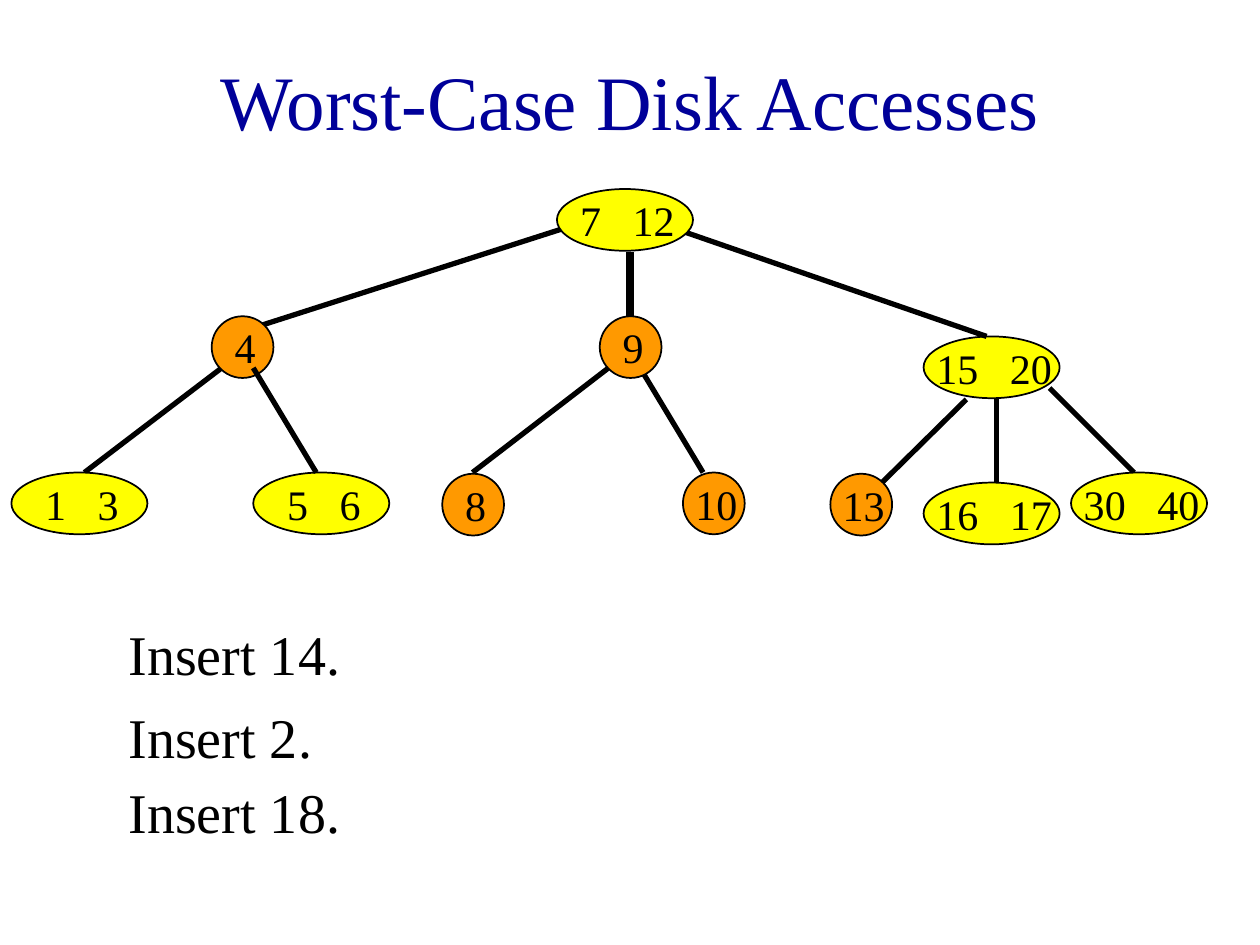
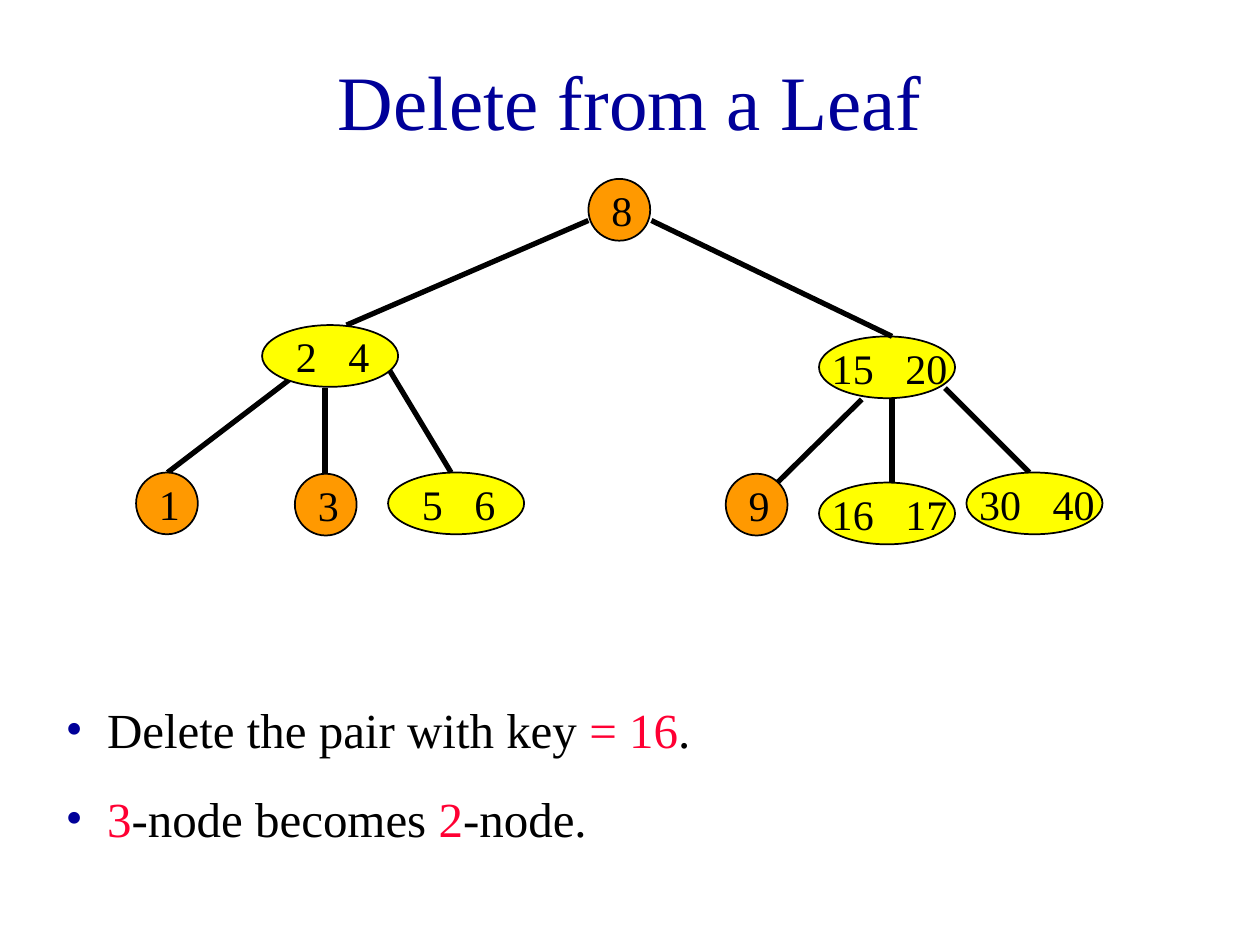
from dataclasses import dataclass

from lxml import etree
from pptx import Presentation
from pptx.dml.color import RGBColor
from pptx.enum.shapes import MSO_CONNECTOR, MSO_SHAPE
from pptx.enum.text import MSO_ANCHOR, MSO_AUTO_SIZE, PP_ALIGN
from pptx.oxml.ns import qn
from pptx.util import Inches, Pt

ELLIPSE = MSO_SHAPE.OVAL
STRAIGHT = MSO_CONNECTOR.STRAIGHT
CENTER = PP_ALIGN.CENTER
TOP, MIDDLE = MSO_ANCHOR.TOP, MSO_ANCHOR.MIDDLE
NO_AUTOFIT = MSO_AUTO_SIZE.NONE
TITLE_AND_CONTENT = 1


@dataclass(frozen=True)
class Theme:
    """Colours, type sizes and line widths shared by the slides."""

    font: str = "Times New Roman"
    title: RGBColor = RGBColor(0x00, 0x00, 0x99)
    ink: RGBColor = RGBColor(0x00, 0x00, 0x00)
    accent: RGBColor = RGBColor(0xFF, 0x00, 0x33)
    two_node: RGBColor = RGBColor(0xFF, 0x99, 0x00)
    three_node: RGBColor = RGBColor(0xFF, 0xFF, 0x00)
    title_size: float = 44
    insert_size: float = 32
    bullet_size: float = 28
    key_size: float = 24
    outline: float = 1
    edge: float = 3


@dataclass(frozen=True)
class Node:
    """A tree node: its offset in the tree's box and one or two keys."""

    left: float
    top: float
    keys: tuple


@dataclass(frozen=True)
class Edge:
    """A link between two points in the tree's box."""

    start: tuple
    end: tuple
    width: float = 3
    in_front: bool = False


THEME = Theme()
NODE_HEIGHT = 0.49
NODE_WIDTHS = {1: 0.49, 2: 1.08}
KEY_GAP = 12
TITLE_BOX = (0.75, 0.17, 8.5, 1.25)

INSERT_NODES = [
    Node(4.34, 0, ("7", "12")),
    Node(1.6, 1.01, ("4",)),
    Node(4.68, 1.01, ("9",)),
    Node(0.01, 2.25, ("1", "3")),
    Node(1.93, 2.25, ("5", "6")),
    Node(3.43, 2.26, ("8",)),
    Node(5.34, 2.25, ("10",)),
]
INSERT_EDGES = [
    Edge((4.59, 0.25), (2, 1.08)),
    Edge((4.92, 0.5), (4.92, 1.08), width=4.5),
    Edge((5.09, 0.25), (7.75, 1.17)),
    Edge((1.68, 1.42), (0.59, 2.25)),
    Edge((1.93, 1.42), (2.43, 2.25), in_front=True),
    Edge((4.75, 1.42), (3.67, 2.25)),
    Edge((5, 1.42), (5.5, 2.25)),
]
DELETE_NODES = [
    Node(3.59, 0, ("8",)),
    Node(1, 1.16, ("2", "4")),
    Node(0, 2.33, ("1",)),
    Node(1.26, 2.34, ("3",)),
    Node(2, 2.33, ("5", "6")),
]
DELETE_EDGES = [
    Edge((3.59, 0.33), (1.67, 1.16)),
    Edge((4.09, 0.33), (6, 1.25)),
    Edge((1.34, 1.5), (0.25, 2.33)),
    Edge((1.5, 1.66), (1.5, 2.33)),
    Edge((2, 1.5), (2.5, 2.33)),
]


def place(shape, box):
    """Move and size a shape to a box in inches."""
    shape.left, shape.top, shape.width, shape.height = map(Inches, box)


def add_run(paragraph, text, size, color=THEME.ink):
    """Add one formatted run."""
    run = paragraph.add_run()
    run.text = text
    run.font.name = THEME.font
    run.font.size = Pt(size)
    run.font.color.rgb = color
    return run


def add_slide(presentation, title):
    """Add a slide with its title set."""
    slide = presentation.slides.add_slide(presentation.slide_layouts[TITLE_AND_CONTENT])
    shape = slide.shapes.title
    place(shape, TITLE_BOX)
    shape.text_frame.auto_size = NO_AUTOFIT
    shape.text_frame.vertical_anchor = MIDDLE
    paragraph = shape.text_frame.paragraphs[0]
    paragraph.alignment = CENTER
    add_run(paragraph, title, THEME.title_size, THEME.title)
    return slide


def add_node(shapes, left, top, keys):
    """Draw one node with its keys centred."""
    box = (left, top, NODE_WIDTHS[len(keys)], NODE_HEIGHT)
    shape = shapes.add_shape(ELLIPSE, *map(Inches, box))
    shape.shadow.inherit = False
    shape.fill.solid()
    shape.fill.fore_color.rgb = THEME.two_node if len(keys) == 1 else THEME.three_node
    shape.line.color.rgb = THEME.ink
    shape.line.width = Pt(THEME.outline)
    frame = shape.text_frame
    frame.word_wrap = False
    frame.vertical_anchor = MIDDLE
    frame.margin_left = Inches(0.04)
    frame.margin_right = frame.margin_top = frame.margin_bottom = 0
    paragraph = frame.paragraphs[0]
    paragraph.alignment = CENTER
    for index, key in enumerate(keys):
        if index:
            gap = add_run(paragraph, " ", THEME.key_size)
            gap.font._element.set("spc", str(KEY_GAP * 100))
        add_run(paragraph, key, THEME.key_size)


def add_edge(shapes, left, top, edge):
    """Draw one link of a tree whose box starts at left, top."""
    (start_x, start_y), (end_x, end_y) = edge.start, edge.end
    points = (left + start_x, top + start_y, left + end_x, top + end_y)
    connector = shapes.add_connector(STRAIGHT, *map(Inches, points))
    connector.line.color.rgb = THEME.ink
    connector.line.width = Pt(edge.width)
    etree.SubElement(connector._element.spPr, qn("a:effectLst"))


def add_tree(slide, left, top, nodes, edges):
    """Group the nodes and links of a tree in a box at left, top."""
    shapes = slide.shapes.add_group_shape().shapes
    for edge in edges:
        if not edge.in_front:
            add_edge(shapes, left, top, edge)
    for node in nodes:
        add_node(shapes, left + node.left, top + node.top, node.keys)
    for edge in edges:
        if edge.in_front:
            add_edge(shapes, left, top, edge)


def add_right_subtree(slide, left, top, first_leaf):
    """Draw the subtree under 15 and 20, which both slides share."""
    nodes = [
        Node(0, 0, ("15", "20")),
        Node(-0.74, 1.09, (first_leaf,)),
        Node(0, 1.16, ("16", "17")),
        Node(1.17, 1.08, ("30", "40")),
    ]
    edges = [
        Edge((0.34, 0.5), (-0.33, 1.16)),
        Edge((0.58, 0.5), (0.58, 1.16)),
        Edge((1, 0.41), (1.67, 1.08)),
    ]
    add_tree(slide, left, top, nodes, edges)


def set_bullet(paragraph, indent, bullet=None):
    """Give a paragraph a hanging bullet, or none."""
    properties = paragraph._p.get_or_add_pPr()
    properties.set("marL", str(Inches(indent)))
    properties.set("indent", str(-Inches(indent)))
    if bullet is None:
        etree.SubElement(properties, qn("a:buNone"))
        return
    color = etree.SubElement(properties, qn("a:buClr"))
    etree.SubElement(color, qn("a:srgbClr")).set("val", str(THEME.title))
    etree.SubElement(properties, qn("a:buFont")).set("typeface", THEME.font)
    etree.SubElement(properties, qn("a:buChar")).set("char", bullet)


def add_list(slide, box, lines, size, spacing, indent=0, bullet=None):
    """Fill the body placeholder with lines of (text, color) runs."""
    body = slide.placeholders[1]
    place(body, box)
    frame = body.text_frame
    frame.auto_size = NO_AUTOFIT
    frame.vertical_anchor = TOP
    for index, (runs, space) in enumerate(zip(lines, spacing)):
        paragraph = frame.add_paragraph() if index else frame.paragraphs[0]
        paragraph.space_before = Pt(space)
        set_bullet(paragraph, indent, bullet)
        for text, color in runs:
            add_run(paragraph, text, size, color)


def build_insert_slide(presentation):
    """Build the slide on worst-case inserts."""
    slide = add_slide(presentation, "Worst-Case Disk Accesses")
    add_right_subtree(slide, 7.33, 2.67, "13")
    add_tree(slide, 0.08, 1.5, INSERT_NODES, INSERT_EDGES)
    lines = [[(f"Insert {key}.", THEME.ink)] for key in (14, 2, 18)]
    add_list(slide, (0.92, 4.87, 2.5, 1.85), lines, THEME.insert_size, (0, 8.5, 5))


def build_delete_slide(presentation):
    """Build the slide on deleting from a leaf."""
    slide = add_slide(presentation, "Delete from a Leaf")
    add_right_subtree(slide, 6.5, 2.67, "9")
    add_tree(slide, 1.08, 1.42, DELETE_NODES, DELETE_EDGES)
    lines = [
        [("Delete the pair with key ", THEME.ink), ("= 16", THEME.accent), (".", THEME.ink)],
        [
            ("3", THEME.accent),
            ("-node becomes ", THEME.ink),
            ("2", THEME.accent),
            ("-node.", THEME.ink),
        ],
    ]
    box = (0.42, 5.5, 9.58, 1.28)
    add_list(slide, box, lines, THEME.bullet_size, (17.5, 17.5), 0.33, "•")


def main():
    """Build and save the presentation."""
    presentation = Presentation()
    presentation.slide_width, presentation.slide_height = Inches(10), Inches(7.5)
    build_insert_slide(presentation)
    build_delete_slide(presentation)
    presentation.save("out.pptx")


if __name__ == "__main__":
    main()
